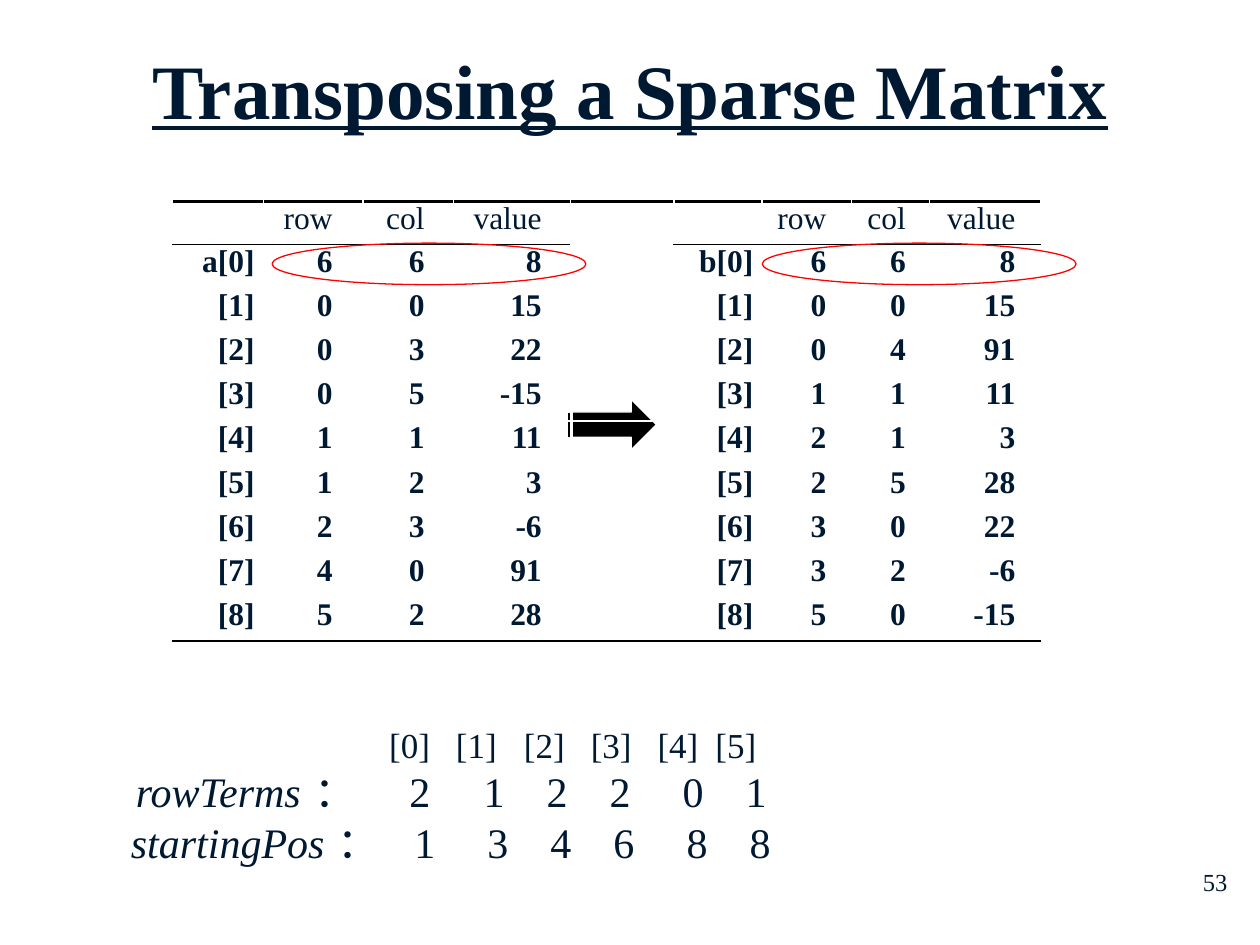
from lxml import etree
from pptx import Presentation
from pptx.dml.color import RGBColor
from pptx.enum.shapes import MSO_SHAPE
from pptx.enum.text import MSO_ANCHOR, PP_ALIGN
from pptx.oxml.ns import qn
from pptx.util import Inches, Pt

RIGHT, CENTER = PP_ALIGN.RIGHT, PP_ALIGN.CENTER
MIDDLE = MSO_ANCHOR.MIDDLE
ARROW, ELLIPSE = MSO_SHAPE.STRIPED_RIGHT_ARROW, MSO_SHAPE.OVAL
COLORS = {"text": "001932", "rule": "000000", "ring": "FF0000", "edge": "FFFFFF"}


def add_run(paragraph, text, **format_values):
    run = paragraph.add_run()
    run.text = text
    run.font.name = "Times New Roman"
    run.font.color.rgb = RGBColor.from_string(COLORS["text"])
    for attribute, value in format_values.items():
        setattr(run.font, attribute, value)


def add_border(cell, side, points):
    line = etree.SubElement(cell._tc.get_or_add_tcPr(), qn("a:ln" + side), w=str(Pt(points)))
    fill = etree.SubElement(line, qn("a:solidFill"))
    etree.SubElement(fill, qn("a:srgbClr"), val=COLORS["rule"])


prs = Presentation()
prs.slide_width, prs.slide_height = Inches(10), Inches(7.5)
slide = prs.slides.add_slide(prs.slide_layouts[6])

# Title and page number
for text, box, align, format_values in [
    ("53", (7.76, 6.83, 2.08, 0.5), RIGHT, {"size": Pt(14)}),
    ("Transposing a Sparse Matrix", (0.97, 0.29, 8.06, 0.83), CENTER,
     {"size": Pt(44), "bold": True, "underline": True}),
]:
    frame = slide.shapes.add_textbox(*map(Inches, box)).text_frame
    frame.word_wrap = True
    frame.paragraphs[0].alignment = align
    add_run(frame.paragraphs[0], text, **format_values)

# Row counts and starting positions, lined up with tab stops
counts = slide.shapes.add_textbox(*map(Inches, (0.77, 5.35, 7.58, 1.92))).text_frame
counts.word_wrap = True
counts.vertical_anchor = MIDDLE
count_lines = [
    ("", "[0] [1] [2] [3] [4] [5]", 20, [2.22, 2.75, 3.29, 3.82, 4.35, 4.81]),
    ("rowTerms", "： 2 1 2 2 0 1", 24, [0.21, 1.63, 2.38, 2.97, 3.47, 3.97, 4.55, 5.05]),
    ("startingPos", "： 1 3 4 6 8 8", 24, [0.17, 1.81, 2.42, 3, 3.5, 4, 4.58, 5.08]),
]
for i, (label, values, size, stops) in enumerate(count_lines):
    paragraph = counts.add_paragraph() if i else counts.paragraphs[0]
    tab_list = etree.SubElement(paragraph._p.get_or_add_pPr(), qn("a:tabLst"))
    for stop in stops:
        etree.SubElement(tab_list, qn("a:tab"), pos=str(Inches(stop)), algn="l")
    if label:
        add_run(paragraph, "\t" + label, size=Pt(size), italic=True)
    add_run(paragraph, "\t" + "\t".join(values.split()), size=Pt(size))

# Arrow from matrix a to matrix b
arrow = slide.shapes.add_shape(ARROW, *map(Inches, (4.48, 3.17, 0.73, 0.4)))
arrow.shadow.inherit = False
arrow.fill.solid()
arrow.fill.fore_color.rgb = RGBColor.from_string(COLORS["rule"])
arrow.line.color.rgb = RGBColor.from_string(COLORS["edge"])
arrow.line.width = Pt(0.75)

# Matrices a and b side by side, with an empty column between them
matrix_a = [(6, 6, 8), (0, 0, 15), (0, 3, 22), (0, 5, -15), (1, 1, 11),
            (1, 2, 3), (2, 3, -6), (4, 0, 91), (5, 2, 28)]
matrix_b = [(6, 6, 8), (0, 0, 15), (0, 4, 91), (1, 1, 11), (2, 1, 3),
            (2, 5, 28), (3, 0, 22), (3, 2, -6), (5, 0, -15)]
header = ["", "row", "col", "value"]
rows = [header + [""] + header]
for i, (a, b) in enumerate(zip(matrix_a, matrix_b)):
    name_a, name_b = ("" if i else "a", "" if i else "b")
    rows.append([f"{name_a}[{i}]", *a, "", f"{name_b}[{i}]", *b])

column_widths = [0.72, 0.79, 0.72, 0.93, 0.82, 0.7, 0.71, 0.62, 0.88]
right_margins = [0.07, 0.24, 0.23, 0.23, 0.07, 0.07, 0.2, 0.19, 0.2]
gap_column, last_row = 4, len(rows) - 1
table = slide.shapes.add_table(
    len(rows), len(column_widths), *map(Inches, (1.37, 1.6, 6.88, 3.51))).table
table.first_row = table.horz_banding = False
for column, width in zip(table.columns, column_widths):
    column.width = Inches(width)
for r, values in enumerate(rows):
    table.rows[r].height = Inches(0.35 if r else 0.34)
    for c, value in enumerate(values):
        cell = table.cell(r, c)
        cell.margin_left, cell.margin_right = Inches(0.07), Inches(right_margins[c])
        cell.margin_top = cell.margin_bottom = 0
        if r == 0:
            add_border(cell, "T", 1.5)
        if r == 1 and c != gap_column:
            add_border(cell, "T", 1)
        if r == 0 and c != gap_column:
            add_border(cell, "B", 1)
        if r == last_row:
            add_border(cell, "B", 1.5)
        cell.fill.background()
        if value != "":
            paragraph = cell.text_frame.paragraphs[0]
            paragraph.alignment = RIGHT
            add_run(paragraph, str(value), size=Pt(18), bold=r > 0)

# Rings around the size entries
for left in (2.16, 6.05):
    ring = slide.shapes.add_shape(ELLIPSE, *map(Inches, (left, 1.93, 2.49, 0.33)))
    ring.shadow.inherit = False
    ring.fill.background()
    ring.line.color.rgb = RGBColor.from_string(COLORS["ring"])
    ring.line.width = Pt(0.75)

prs.save("out.pptx")
